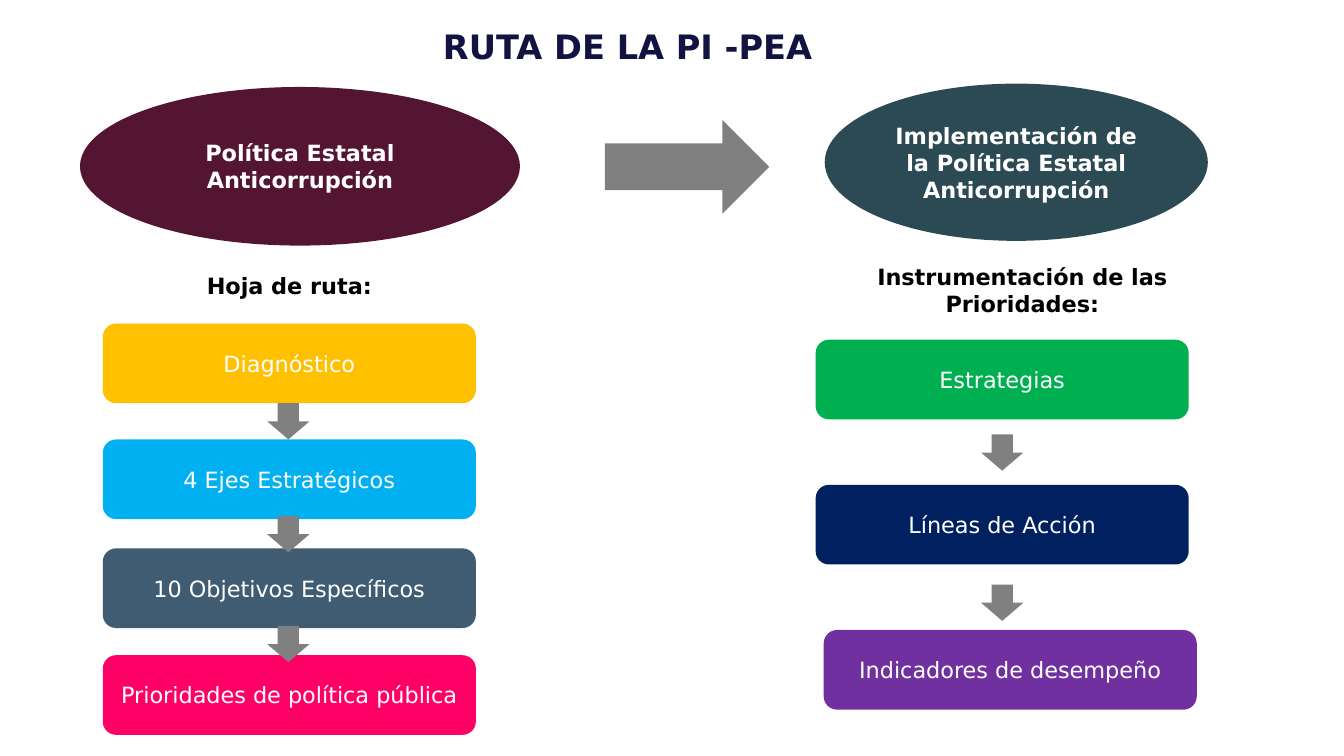
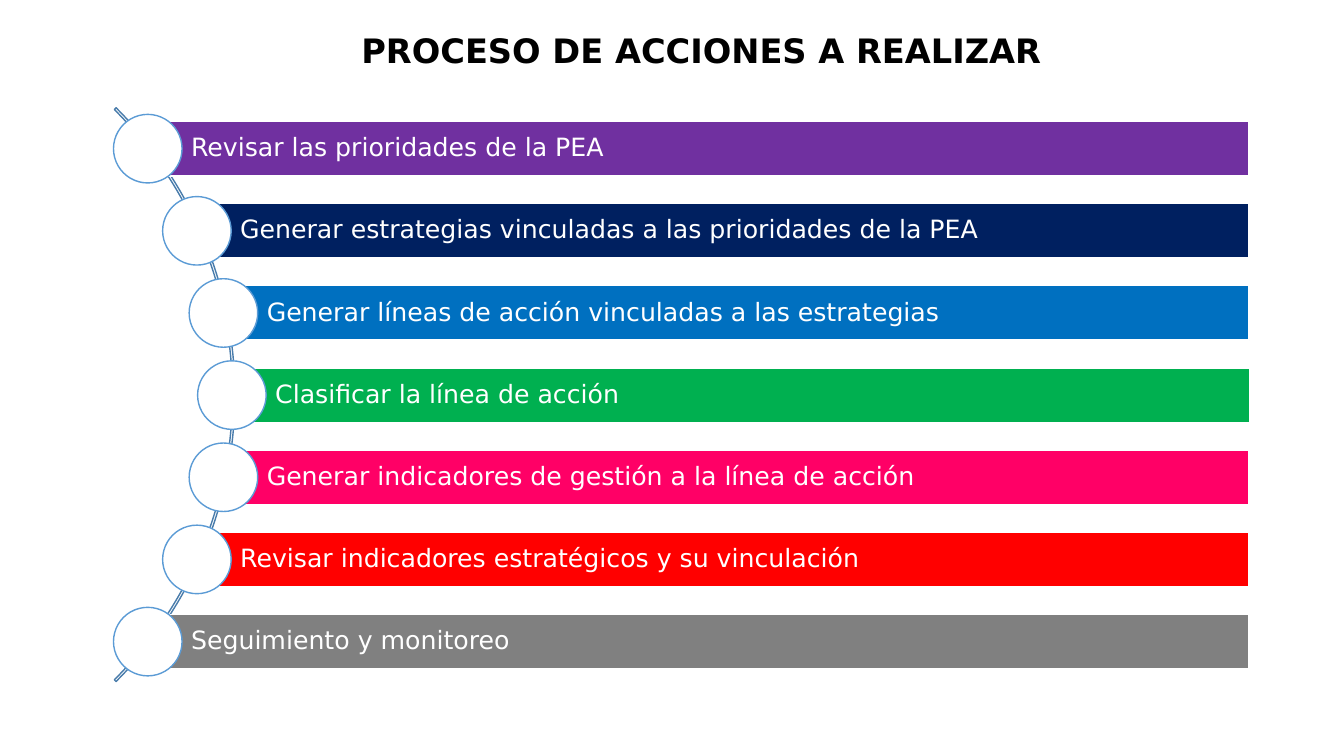
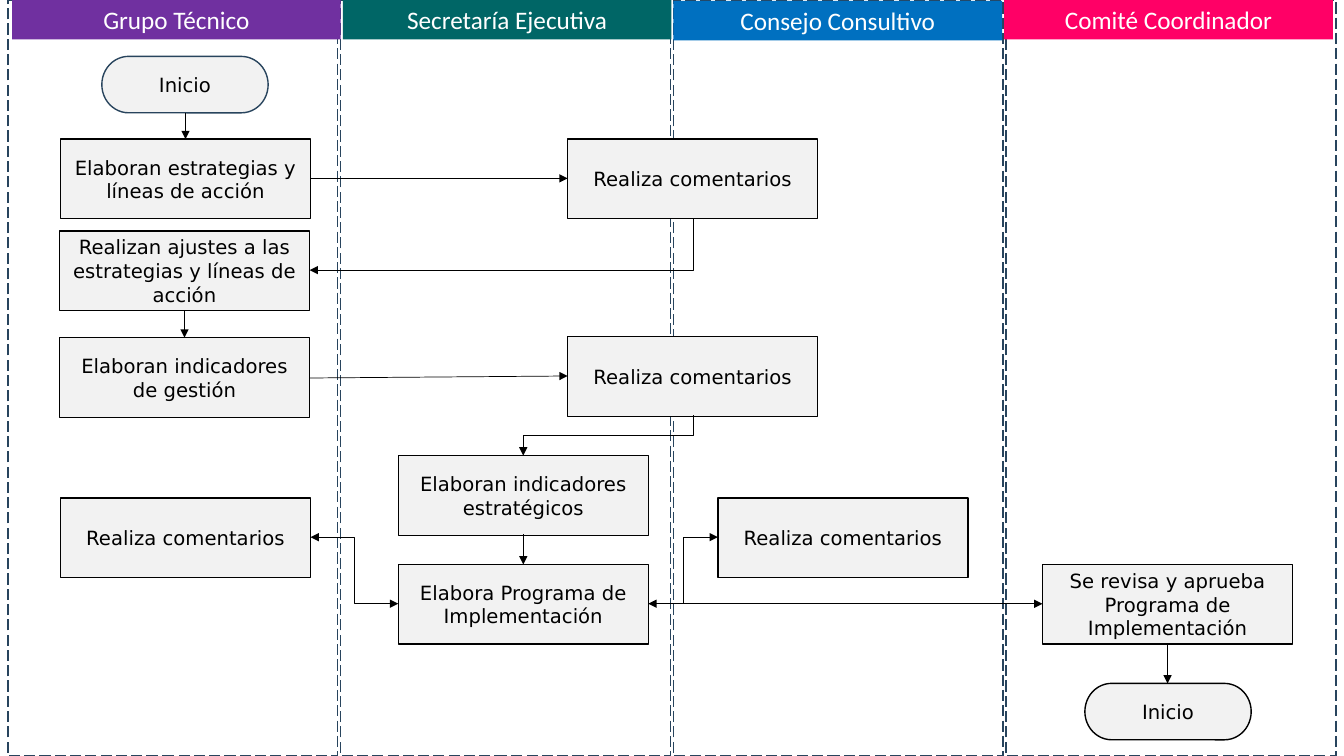
"""Build three slides on the route and process of the state anti-corruption policy."""
import math

import lxml.etree
import pptx
import pptx.dml.color
import pptx.enum.dml
import pptx.enum.shapes
import pptx.enum.text
import pptx.oxml.ns
import pptx.util

Inches, Pt = pptx.util.Inches, pptx.util.Pt
RGB = pptx.dml.color.RGBColor.from_string
SHAPE = pptx.enum.shapes.MSO_SHAPE
CONNECTOR = pptx.enum.shapes.MSO_CONNECTOR
ALIGN = pptx.enum.text.PP_ALIGN
ANCHOR = pptx.enum.text.MSO_ANCHOR
qn = pptx.oxml.ns.qn

C = {
    "white": "FFFFFF", "black": "000000", "ink": "111340", "wine": "541533",
    "slate": "2C4A54", "gray": "808080", "amber": "FFC000", "sky": "00B0F0",
    "steel": "405C72", "pink": "FF0066", "green": "00B050", "navy": "002060",
    "purple": "7030A0", "blue": "0070C0", "red": "FF0000", "teal": "006666",
    "arc": "497CAB", "ring": "5B9BD5", "light": "F2F2F2", "lane": "28445D",
}
TITLE = {"size": 24, "bold": True, "color": "black", "anchor": ANCHOR.TOP}
HEADING = {"size": 16, "bold": True, "color": "black", "anchor": ANCHOR.TOP}


def add_box(s, kind, at, text="", fill=None, line=None, dash=None, size=16, bold=False,
            color="white", font="DejaVu Sans", align=ANCHOR and ALIGN.CENTER,
            anchor=ANCHOR.MIDDLE, indent=0.1, spacing=None, wrap=True):
    at = [Inches(v) for v in at]
    if kind is None:
        sp = s.shapes.add_textbox(*at)
    else:
        sp = s.shapes.add_shape(kind, *at)
        sp.shadow.inherit = False
        if fill:
            sp.fill.solid()
            sp.fill.fore_color.rgb = RGB(C[fill])
        else:
            sp.fill.background()
        if line:
            sp.line.color.rgb = RGB(C[line])
            sp.line.width = Pt(1)
            sp.line.dash_style = dash
        else:
            sp.line.fill.background()
    if text:
        tf = sp.text_frame
        tf.word_wrap = wrap
        tf.vertical_anchor = anchor
        tf.margin_left = Inches(indent)
        p = tf.paragraphs[0]
        p.alignment = align
        p.line_spacing = spacing
        r = p.add_run()
        r.text = text
        r.font.name = font
        r.font.size = Pt(size)
        r.font.bold = bold
        r.font.color.rgb = RGB(C[color])
    return sp


def add_arrow(s, x1, y1, x2, y2, kind=CONNECTOR.STRAIGHT, both=False, turned=None):
    if turned:
        cx, cy, half_w, half_h = (x1 + x2) / 2, (y1 + y2) / 2, (x1 - x2) / 2, (y2 - y1) / 2
        x1, y1, x2, y2 = cx - half_h, cy - half_w, cx + half_h, cy + half_w
    c = s.shapes.add_connector(kind, Inches(x1), Inches(y1), Inches(x2), Inches(y2))
    c.line.color.rgb = RGB(C["black"])
    c.line.width = Pt(0.5)
    props = c._element.spPr
    if turned:
        props.find(qn("a:xfrm")).set("rot", "5400000")
        props.find(qn("a:prstGeom")).set("prst", turned)
    ln = props.find(qn("a:ln"))
    for end in ("a:headEnd", "a:tailEnd") if both else ("a:tailEnd",):
        lxml.etree.SubElement(ln, qn(end)).set("type", "triangle")
    lxml.etree.SubElement(props, qn("a:effectLst"))


prs = pptx.Presentation()
prs.slide_width, prs.slide_height = Inches(13.33), Inches(7.5)
blank = prs.slide_layouts[6]

s = prs.slides.add_slide(blank)
add_box(s, None, (4.22, 0.21, 4.01, 0.5), "RUTA DE LA PI -PEA",
        **{**TITLE, "color": "ink", "anchor": ANCHOR.BOTTOM, "wrap": False})
add_box(s, SHAPE.OVAL, (0.8, 0.87, 4.35, 1.56), "Política Estatal Anticorrupción",
        fill="wine", line="wine", bold=True)
add_box(s, SHAPE.OVAL, (8.18, 0.83, 3.8, 1.56),
        "Implementación de la Política Estatal Anticorrupción", fill="slate", bold=True)
add_box(s, SHAPE.RIGHT_ARROW, (6, 1.19, 1.63, 0.93), fill="gray")
add_box(s, None, (0.04, 2.65, 5.66, 0.37), "Hoja de ruta:", **HEADING)
add_box(s, None, (8.09, 2.56, 4.1, 0.64), "Instrumentación de las Prioridades:", **HEADING)

steps = [
    (1.02, 3.21, "Diagnóstico", "amber"),
    (1.02, 4.36, "4 Ejes Estratégicos", "sky"),
    (1.02, 5.44, "10 Objetivos Específicos", "steel"),
    (1.02, 6.5, "Prioridades de política pública", "pink"),
    (8.09, 3.37, "Estrategias", "green"),
    (8.09, 4.81, "Líneas de Acción", "navy"),
    (8.17, 6.25, "Indicadores de desempeño", "purple"),
]
for x, y, text, fill in steps:
    add_box(s, SHAPE.ROUNDED_RECTANGLE, (x, y, 3.7, 0.79), text, fill=fill)
for x, y in [(2.65, 4), (2.65, 5.12), (2.65, 6.21), (9.73, 4.31), (9.73, 5.8)]:
    add_box(s, SHAPE.DOWN_ARROW, (x, y, 0.42, 0.36), fill="gray")

s = prs.slides.add_slide(blank)
arc = add_box(s, SHAPE.BLOCK_ARC, (-5.72, -0.11, 8.05, 8.05), line="arc")
for i, value in enumerate((189, 27, 0.003)):
    arc.adjustments[i] = value
actions = [
    ("Revisar las prioridades de la PEA", "purple"),
    ("Generar estrategias vinculadas a las prioridades de la PEA", "navy"),
    ("Generar líneas de acción vinculadas a las estrategias", "blue"),
    ("Clasificar la línea de acción", "green"),
    ("Generar indicadores de gestión a la línea de acción", "pink"),
    ("Revisar indicadores estratégicos y su vinculación", "red"),
    ("Seguimiento y monitoreo", "gray"),
]
arc_x, arc_y, radius, right = -1.7, 3.92, 4, 12.39
pitch = 4.89 / (len(actions) - 1)
for i, (text, fill) in enumerate(actions):
    dy = (i - 3) * pitch
    x, y = arc_x + math.sqrt(radius ** 2 - dy ** 2), arc_y + dy
    add_box(s, SHAPE.RECTANGLE, (x, y - 0.27, right - x, 0.54), text, fill=fill, line="white",
            size=18, align=ALIGN.LEFT, indent=0.43, spacing=0.9)
    add_box(s, SHAPE.OVAL, (x - 0.34, y - 0.34, 0.68, 0.68), fill="white", line="ring")
add_box(s, None, (2.8, 0.25, 8.31, 0.5), "PROCESO DE ACCIONES A REALIZAR", **TITLE)

s = prs.slides.add_slide(blank)
lanes = [
    ("Grupo Técnico", "purple", 0),
    ("Secretaría Ejecutiva", "teal", 0),
    ("Consejo Consultivo", "blue", 0.01),
    ("Comité Coordinador", "pink", 0),
]
for i in range(len(lanes)):
    add_box(s, SHAPE.RECTANGLE, (0.08 + 3.3 * i, 0, 3.27, 7.5), line="lane",
            dash=pptx.enum.dml.MSO_LINE.LONG_DASH)
for i, (text, fill, y) in enumerate(lanes):
    add_box(s, SHAPE.RECTANGLE, (0.12 + 3.28 * i, y, 3.26, 0.39), text, fill=fill,
            size=18, font="Calibri")

tasks = [
    (0.6, 1.38, "Elaboran estrategias y líneas de acción"),
    (0.59, 2.29, "Realizan ajustes a las estrategias y líneas de acción"),
    (0.59, 3.35, "Elaboran indicadores de gestión"),
    (0.6, 4.94, "Realiza comentarios"),
    (3.95, 4.52, "Elaboran indicadores estratégicos"),
    (3.95, 5.6, "Elabora Programa de Implementación"),
    (5.63, 1.38, "Realiza comentarios"),
    (5.63, 3.34, "Realiza comentarios"),
    (7.12, 4.94, "Realiza comentarios"),
    (10.34, 5.6, "Se revisa y aprueba Programa de Implementación"),
]
for x, y, text in tasks:
    add_box(s, SHAPE.RECTANGLE, (x, y, 2.48, 0.79), text, fill="light", line="black",
            size=14, color="black")
for x, y, line in [(1.01, 0.56, "lane"), (10.76, 6.78, "black")]:
    add_box(s, SHAPE.FLOWCHART_TERMINATOR, (x, y, 1.65, 0.56), "Inicio", fill="light",
            line=line, size=14, color="black")

straight = [
    (1.84, 1.12, 1.84, 1.38),
    (3.08, 1.77, 5.63, 1.77),
    (1.83, 3.08, 1.83, 3.35),
    (3.07, 3.75, 5.63, 3.73),
    (5.19, 5.3, 5.19, 5.6),
    (6.43, 5.99, 10.34, 5.99),
    (11.58, 6.38, 11.58, 6.78),
]
for ends in straight:
    add_arrow(s, *ends)
add_arrow(s, 6.88, 2.17, 3.07, 2.68, CONNECTOR.ELBOW, turned="bentConnector2")
add_arrow(s, 6.88, 4.12, 5.19, 4.52, CONNECTOR.ELBOW, turned="bentConnector3")
add_arrow(s, 6.43, 5.99, 7.12, 5.33, CONNECTOR.ELBOW, both=True)
add_arrow(s, 3.95, 5.99, 3.08, 5.33, CONNECTOR.ELBOW, both=True)

prs.save("out.pptx")
